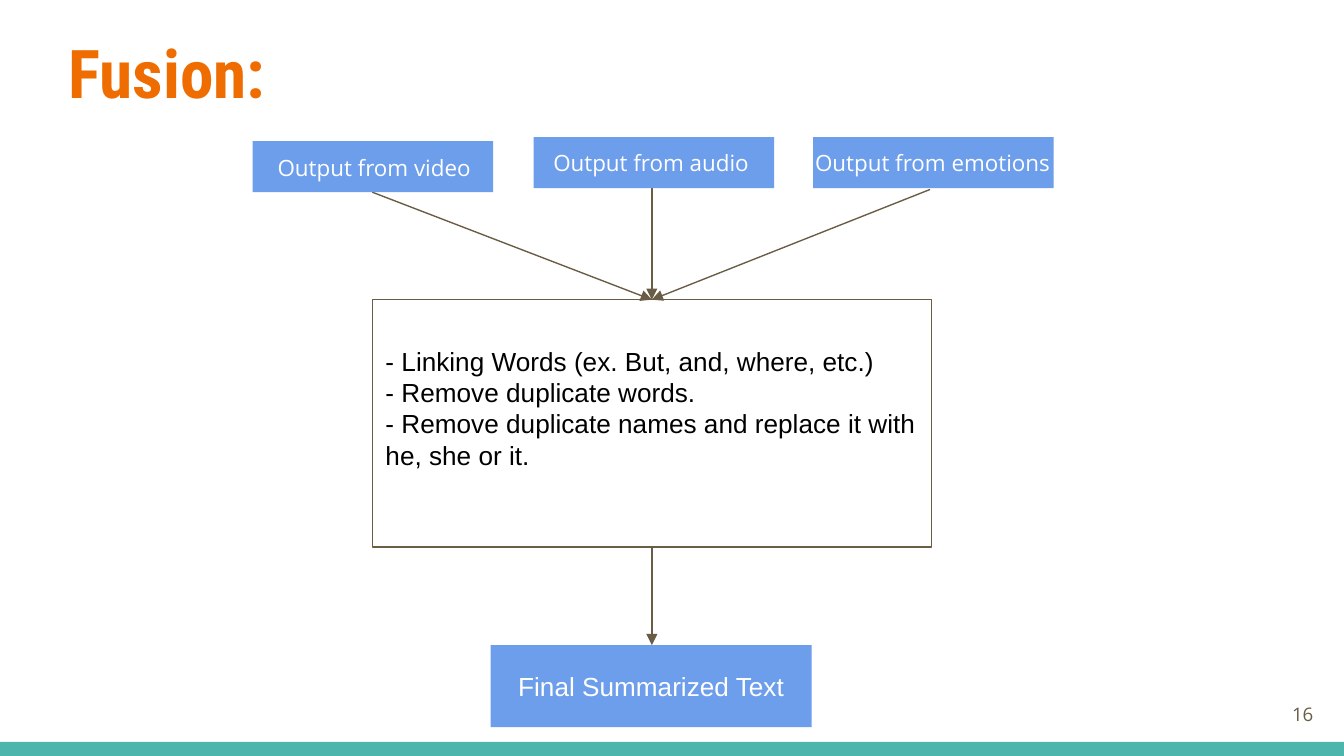
from dataclasses import dataclass

from lxml import etree
from pptx import Presentation
from pptx.dml.color import RGBColor
from pptx.enum.shapes import MSO_CONNECTOR, MSO_SHAPE
from pptx.enum.text import MSO_ANCHOR, PP_ALIGN
from pptx.oxml.ns import qn
from pptx.util import Inches, Pt

RECTANGLE = MSO_SHAPE.RECTANGLE
STRAIGHT = MSO_CONNECTOR.STRAIGHT
TOP, MIDDLE = MSO_ANCHOR.TOP, MSO_ANCHOR.MIDDLE
LEFT, CENTER, RIGHT = PP_ALIGN.LEFT, PP_ALIGN.CENTER, PP_ALIGN.RIGHT

TEAL, BLUE, BROWN, ORANGE = "4DB6AC", "6D9EEB", "695D46", "EF6C00"
WHITE, BLACK = "FFFFFF", "000000"
LINE_WIDTH = Pt(0.75)


@dataclass(frozen=True)
class Area:
    left: float
    top: float
    width: float
    height: float

    def inches(self) -> list:
        return [Inches(n) for n in (self.left, self.top, self.width, self.height)]


@dataclass(frozen=True)
class Source:
    label: str
    box: Area
    caption: Area


@dataclass(frozen=True)
class Arrow:
    start: tuple[float, float]
    end: tuple[float, float]


def color(value: str) -> RGBColor:
    return RGBColor.from_string(value)


def write(shape, text: str, *, size: float, font: str, ink: str, bold: bool = False,
          align=LEFT, anchor=TOP, bottom: float = 0.1) -> None:
    frame = shape.text_frame
    frame.word_wrap = True
    frame.vertical_anchor = anchor
    frame.margin_left = frame.margin_right = frame.margin_top = Inches(0.1)
    frame.margin_bottom = Inches(bottom)
    frame.text = text
    for para in frame.paragraphs:
        para.alignment = align
        for span in para.runs:
            span.font.size = Pt(size)
            span.font.name = font
            span.font.bold = bold
            span.font.color.rgb = color(ink)


def add_box(page, area: Area, *, fill: str | None = None, line: str | None = None):
    box = page.shapes.add_shape(RECTANGLE, *area.inches())
    box.shadow.inherit = False
    if fill:
        box.fill.solid()
        box.fill.fore_color.rgb = color(fill)
    else:
        box.fill.background()
    if line:
        box.line.color.rgb = color(line)
        box.line.width = LINE_WIDTH
    else:
        box.line.fill.background()
    return box


def add_text(page, area: Area, text: str, **style) -> None:
    write(page.shapes.add_textbox(*area.inches()), text, **style)


def add_arrow(page, arrow: Arrow) -> None:
    ends = [Inches(n) for n in (*arrow.start, *arrow.end)]
    connector = page.shapes.add_connector(STRAIGHT, *ends)
    connector.line.color.rgb = color(BROWN)
    connector.line.width = LINE_WIDTH
    properties = connector.element.find(qn("p:spPr"))
    etree.SubElement(properties.find(qn("a:ln")), qn("a:tailEnd"), type="triangle")
    etree.SubElement(properties, qn("a:effectLst"))


SOURCES = [
    Source("Output from video", Area(1.88, 1.05, 1.79, 0.38), Area(1.89, 1.05, 1.79, 0.32)),
    Source("Output from audio", Area(3.97, 1.02, 1.79, 0.38), Area(3.95, 1.01, 1.79, 0.32)),
    Source("Output from emotions", Area(6.05, 1.02, 1.79, 0.38), Area(5.89, 1.01, 2.1, 0.32)),
]
MERGE_POINT = (4.85, 2.23)
ARROWS = [
    Arrow((2.77, 1.43), MERGE_POINT),
    Arrow((4.85, 1.33), MERGE_POINT),
    Arrow((6.92, 1.41), MERGE_POINT),
    Arrow((4.85, 4.06), (4.85, 4.8)),
]
STEPS = [
    "- Linking Words (ex. But, and, where, etc.)",
    "- Remove duplicate words.",
    "- Remove duplicate names and replace it with he, she or it.",
]


def main() -> None:
    deck = Presentation()
    deck.slide_width = Inches(10)
    deck.slide_height = Inches(10) * 9 // 16
    page = deck.slides.add_slide(deck.slide_layouts[6])

    add_box(page, Area(0, 5.52, 10, 0.11), fill=TEAL)
    add_text(page, Area(0.41, 0.13, 3.28, 0.85), "Fusion:",
             size=36, font="Roboto Condensed", ink=ORANGE, bold=True)
    add_text(page, Area(9.27, 5.1, 0.6, 0.43), "16",
             size=10, font="Open Sans", ink=BROWN, align=RIGHT, anchor=MIDDLE)

    for arrow in ARROWS:
        add_arrow(page, arrow)
    for source in SOURCES:
        add_box(page, source.box, fill=BLUE)
        add_text(page, source.caption, source.label,
                 size=12, font="Open Sans", ink=WHITE, align=CENTER)

    fusion = add_box(page, Area(2.77, 2.23, 4.16, 1.84), line=BROWN)
    write(fusion, "\n".join(STEPS), size=14, font="Arial", ink=BLACK,
          anchor=MIDDLE, bottom=0.33)
    summary = add_box(page, Area(3.65, 4.8, 2.39, 0.61), fill=BLUE)
    write(summary, "Final Summarized Text", size=14, font="Arial", ink=WHITE,
          align=CENTER, anchor=MIDDLE)

    deck.save("out.pptx")


if __name__ == "__main__":
    main()
